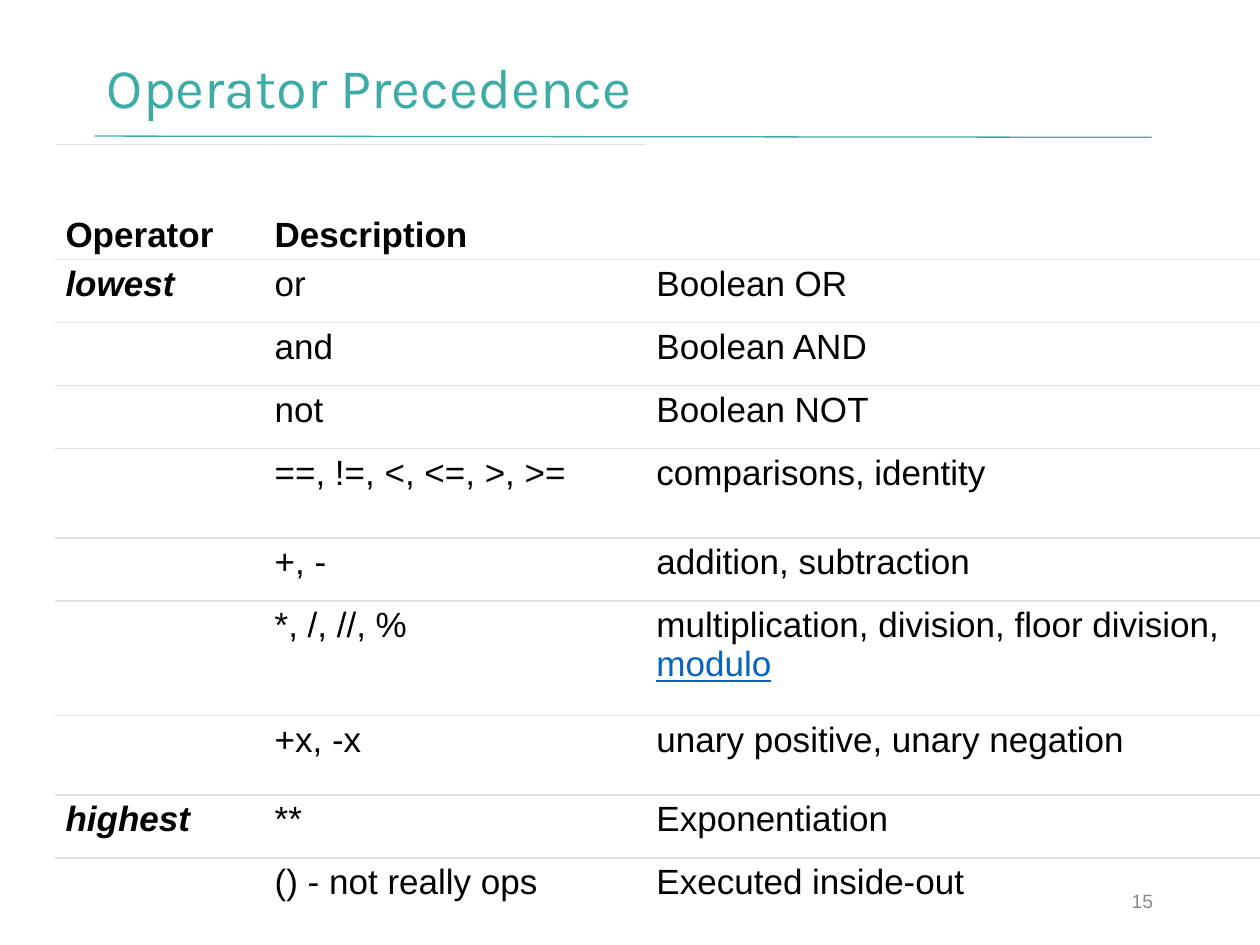
from dataclasses import dataclass

from lxml.etree import SubElement
from pptx import Presentation
from pptx.dml.color import RGBColor
from pptx.enum.shapes import MSO_CONNECTOR
from pptx.enum.text import MSO_ANCHOR, PP_ALIGN
from pptx.oxml import parse_xml
from pptx.oxml.ns import nsdecls, qn
from pptx.slide import Slide
from pptx.util import Inches, Pt

COLORS = {
    "accent": "3DACA7",
    "text": "000000",
    "link": "0563C1",
    "number": "888888",
    "border": "DEE2E6",
    "paper": "FFFFFF",
}
COLUMN_WIDTHS = [16.6, 30.3, 48.7]
ROW_HEIGHTS = [9.1, 5, 5, 5, 7.1, 5, 9.1, 6.3, 5, 5]
PRECEDENCE = [
    ("Operator", "Description", ""),
    ("lowest", "or", "Boolean OR"),
    ("", "and", "Boolean AND"),
    ("", "not", "Boolean NOT"),
    ("", "==, !=, <, <=, >, >=", "comparisons, identity"),
    ("", "+, -", "addition, subtraction"),
    ("", "*, /, //, %", "multiplication, division, floor division, "),
    ("", "+x, -x", "unary positive, unary negation"),
    ("highest", "**", "Exponentiation"),
    ("", "() - not really ops", "Executed inside-out"),
]


@dataclass
class SlideBuilder:
    """Draws styled elements on a slide with a grid of 100 columns and 75 rows."""

    slide: Slide
    unit: int = Inches(0.1)
    body_font: str = "Arial"
    line_width: float = 0.75

    def length(self, units):
        return round(units * self.unit)

    def color(self, name):
        return RGBColor.from_string(COLORS[name])

    def style(self, font, size, color, name=None):
        font.name = name or self.body_font
        font.size = Pt(size)
        font.color.rgb = self.color(color)

    def text(self, box, words, size, color, name=None, align=PP_ALIGN.LEFT, spacing=1.0):
        frame = self.slide.shapes.add_textbox(*map(self.length, box)).text_frame
        frame.word_wrap = True
        frame.vertical_anchor = MSO_ANCHOR.MIDDLE
        paragraph = frame.paragraphs[0]
        paragraph.text = words
        paragraph.alignment = align
        paragraph.line_spacing = spacing
        self.style(paragraph.font, size, color, name)

    def rule(self, ends, color):
        line = self.slide.shapes.add_connector(MSO_CONNECTOR.STRAIGHT, *map(self.length, ends))
        line.line.color.rgb = self.color(color)
        line.line.width = Pt(self.line_width)
        SubElement(line._element.spPr, qn("a:effectLst"))

    def borders(self, cell, sides):
        properties = cell._tc.get_or_add_tcPr()
        for position, side in enumerate(sides):
            properties.insert(position, parse_xml(
                f'<a:ln{side} {nsdecls("a")} w="{Pt(self.line_width)}"><a:solidFill>'
                f'<a:srgbClr val="{COLORS["border"]}"/></a:solidFill></a:ln{side}>'
            ))

    def cell(self, cell, words, bold, italic, anchor):
        cell.margin_left = cell.margin_right = self.length(0.8)
        cell.margin_top = cell.margin_bottom = self.length(0.4)
        cell.vertical_anchor = anchor
        cell.fill.solid()
        cell.fill.fore_color.rgb = self.color("paper")
        paragraph = cell.text_frame.paragraphs[0]
        paragraph.text = words
        self.style(paragraph.font, 20, "text")
        paragraph.font.bold = bold
        paragraph.font.italic = italic

    def table(self, left, top, widths, heights, rows):
        box = map(self.length, (left, top, sum(widths), sum(heights)))
        table = self.slide.shapes.add_table(len(rows), len(widths), *box).table
        table.first_row = table.horz_banding = False
        for column, width in zip(table.columns, widths):
            column.width = self.length(width)
        for row, height in zip(table.rows, heights):
            row.height = self.length(height)
        last = len(rows) - 1
        for row_index, row in enumerate(rows):
            header = row_index == 0
            anchor = MSO_ANCHOR.BOTTOM if header else MSO_ANCHOR.TOP
            for column_index, words in enumerate(row):
                cell = table.cell(row_index, column_index)
                label = column_index == 0
                self.cell(cell, words, header or label, label and not header, anchor)
                top_side = "" if header and not words else "T"
                self.borders(cell, top_side + ("B" if row_index < last else ""))
        return table

    def link_run(self, cell, words):
        run = cell.text_frame.paragraphs[0].add_run()
        run.text = words
        run.font.color.rgb = self.color("link")
        run.font.underline = True


def main():
    presentation = Presentation()
    presentation.slide_width = Inches(10)
    presentation.slide_height = Inches(7.5)
    builder = SlideBuilder(presentation.slides.add_slide(presentation.slide_layouts[6]))
    builder.rule((7.5, 10.8, 91.4, 10.9), "accent")
    builder.text((7.5, 3.5, 74.9, 7.3), "Operator Precedence", 32, "accent", "Karla", spacing=0.9)
    table = builder.table(4.4, 11.5, COLUMN_WIDTHS, ROW_HEIGHTS, PRECEDENCE)
    builder.link_run(table.cell(6, 2), "modulo")
    builder.text((70, 69.5, 22.5, 4), "15", 11, "number", align=PP_ALIGN.RIGHT)
    presentation.save("out.pptx")


if __name__ == "__main__":
    main()
